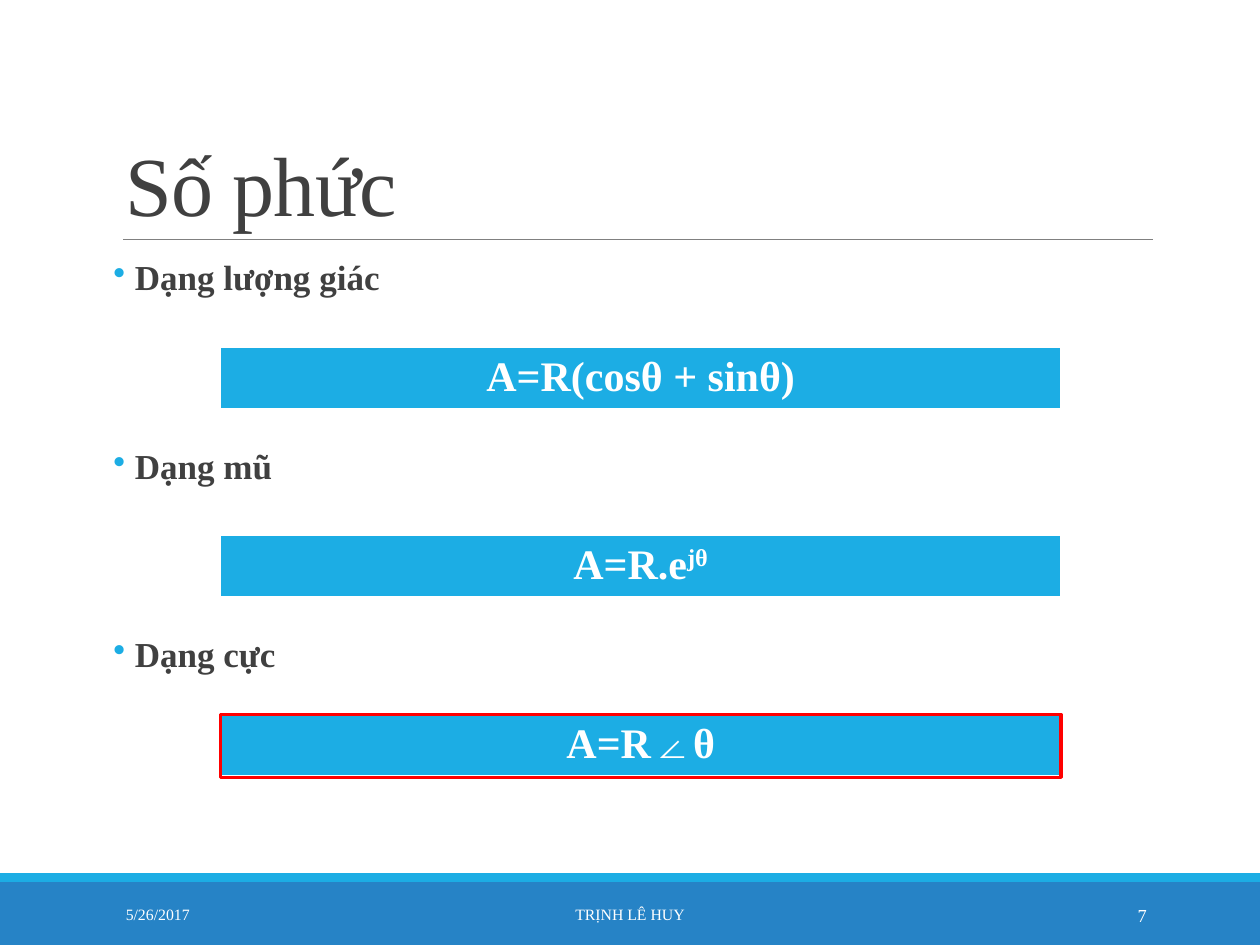
from dataclasses import dataclass, field
from typing import Any, NamedTuple

from lxml.etree import SubElement
from pptx import Presentation
from pptx.dml.color import RGBColor
from pptx.enum.shapes import MSO_CONNECTOR as Connector, MSO_SHAPE as Preset
from pptx.enum.text import MSO_ANCHOR as Anchor, PP_ALIGN as Align
from pptx.oxml.ns import qn
from pptx.util import Inches, Pt

COLUMNS, ROWS = 100, 75
FONT = "Times New Roman"
WHITE, INK, SKY, BLUE, GREY, RED = "FFFFFF", "404040", "1CADE4", "2683C6", "808080", "FF0000"

deck = Presentation()
deck.slide_width, deck.slide_height = Inches(10), Inches(7.5)
slide = deck.slides.add_slide(deck.slide_layouts[6])


class Area(NamedTuple):
    column: float
    row: float
    columns: float
    rows: float

    def emu(self) -> tuple[int, ...]:
        column, row = deck.slide_width / COLUMNS, deck.slide_height / ROWS
        return (round(self.column * column), round(self.row * row),
                round(self.columns * column), round(self.rows * row))


class Piece(NamedTuple):
    text: str
    raised: bool = False


@dataclass
class Label:
    area: Area
    text: str
    size: float
    color: str = WHITE
    align: Align = Align.LEFT
    anchor: Anchor = Anchor.MIDDLE
    paragraph: dict[str, Any] = field(default_factory=dict)
    tracking: int = 0


@dataclass
class Form:
    name: str
    row: float
    formula: list[Piece]


def rgb(color: str) -> RGBColor:
    return RGBColor.from_string(color)


def apply(target: Any, values: dict[str, Any]) -> None:
    for name, value in values.items():
        setattr(target, name, value)


def style(font: Any, size: float, color: str, bold: bool = False) -> None:
    apply(font, {"name": FONT, "size": Pt(size), "bold": bold})
    font.color.rgb = rgb(color)


def draw_rectangle(area: Area, fill: str = "", outline: str = "") -> None:
    rectangle = slide.shapes.add_shape(Preset.RECTANGLE, *area.emu())
    rectangle.shadow.inherit = False
    if fill:
        rectangle.fill.solid()
        rectangle.fill.fore_color.rgb = rgb(fill)
    else:
        rectangle.fill.background()
    if outline:
        rectangle.line.color.rgb = rgb(outline)
        rectangle.line.width = Pt(2)
    else:
        rectangle.line.fill.background()


def draw_rule(area: Area) -> None:
    left, top, width, height = area.emu()
    rule = slide.shapes.add_connector(Connector.STRAIGHT, left, top, left + width, top + height)
    rule.line.color.rgb = rgb(GREY)
    rule.line.width = Pt(0.5)
    SubElement(rule._element.spPr, qn("a:effectLst"))


def draw_label(label: Label) -> None:
    frame = slide.shapes.add_textbox(*label.area.emu()).text_frame
    apply(frame, {"word_wrap": True, "vertical_anchor": label.anchor})
    paragraph = frame.paragraphs[0]
    apply(paragraph, {"alignment": label.align, **label.paragraph})
    run = paragraph.add_run()
    run.text = label.text
    style(run.font, label.size, label.color)
    if label.tracking:
        run._r.get_or_add_rPr().set("spc", str(label.tracking))


def draw_bullets(area: Area, names: list[str]) -> None:
    frame = slide.shapes.add_textbox(*area.emu()).text_frame
    apply(frame, {"word_wrap": True, "margin_left": 0, "margin_right": 0})
    for index, name in enumerate(names):
        paragraph = frame.add_paragraph() if index else frame.paragraphs[0]
        properties = paragraph._p.get_or_add_pPr()
        properties.set("marL", str(Inches(0.17)))
        properties.set("indent", str(Inches(-0.17)))
        SubElement(SubElement(properties, qn("a:buClr")), qn("a:srgbClr"), val=SKY)
        SubElement(properties, qn("a:buChar"), char="•")
        apply(paragraph, {"line_spacing": 0.9, "space_after": Pt(2),
                          "space_before": Pt(84 if index else 0)})
        run = paragraph.add_run()
        run.text = name
        style(run.font, 20, INK, True)


def draw_formula(area: Area, pieces: list[Piece]) -> None:
    table = slide.shapes.add_table(1, 1, *area.emu()).table
    cell = table.cell(0, 0)
    properties = cell._tc.get_or_add_tcPr()
    for side, width in {"lnL": 1, "lnR": 1, "lnT": 1, "lnB": 3}.items():
        border = SubElement(properties, qn(f"a:{side}"), w=str(Pt(width)))
        SubElement(SubElement(border, qn("a:solidFill")), qn("a:srgbClr"), val=WHITE)
    cell.fill.solid()
    cell.fill.fore_color.rgb = rgb(SKY)
    paragraph = cell.text_frame.paragraphs[0]
    paragraph.alignment = Align.CENTER
    for piece in pieces:
        run = paragraph.add_run()
        run.text = piece.text
        style(run.font, 24, WHITE, True)
        if piece.raised:
            run._r.get_or_add_rPr().set("baseline", "30000")


FORMS = [
    Form("Dạng lượng giác", 27.6, [Piece("A=R(cosθ + sinθ)")]),
    Form("Dạng mũ", 42.5, [Piece("A=R.e"), Piece("jθ", raised=True)]),
    Form("Dạng cực", 56.7, [Piece("A=R∠θ")]),
]
LABELS = [
    Label(Area(9, 3.1, 82.5, 15.9), "Số phức", 48, INK, anchor=Anchor.BOTTOM,
          paragraph={"line_spacing": 0.85}, tracking=-50),
    Label(Area(9, 70.6, 20.3, 4), "5/26/2017", 9),
    Label(Area(30.2, 70.6, 39.6, 4), "TRỊNH LÊ HUY", 9, align=Align.CENTER),
    Label(Area(81.2, 70.6, 10.8, 4), "7", 10.5, align=Align.RIGHT),
]


def main() -> None:
    draw_rectangle(Area(0, 70, COLUMNS, 5), BLUE)
    draw_rectangle(Area(0, 69.3, COLUMNS, 0.7), SKY)
    draw_rule(Area(9.8, 19, 81.7, 0))
    for label in LABELS:
        draw_label(label)
    draw_bullets(Area(9, 20.2, 82.5, 49), [form.name for form in FORMS])
    for form in FORMS:
        draw_formula(Area(17.5, form.row, 66.7, 4.1), form.formula)
    draw_rectangle(Area(17.5, FORMS[-1].row, 66.7, 5), outline=RED)
    deck.save("out.pptx")


if __name__ == "__main__":
    main()
